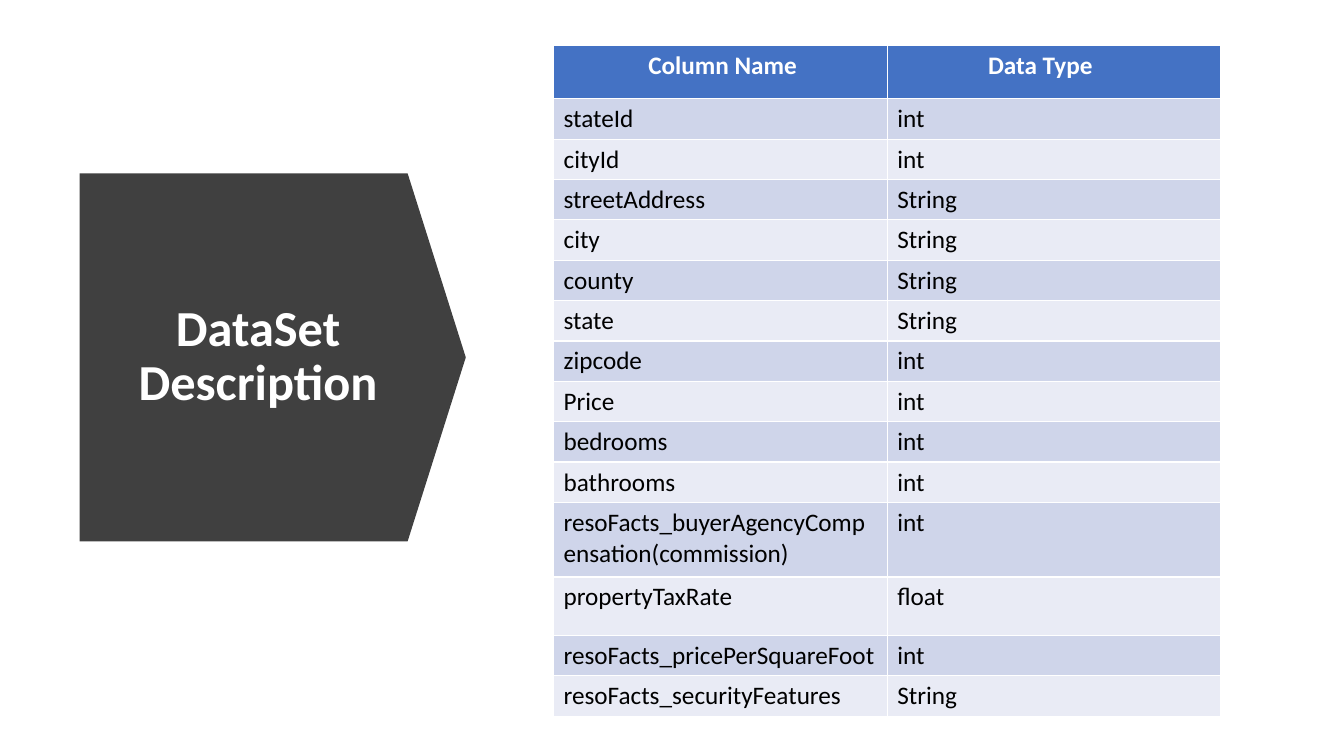
from dataclasses import dataclass

from pptx import Presentation
from pptx.dml.color import RGBColor
from pptx.enum.shapes import MSO_SHAPE
from pptx.enum.text import MSO_ANCHOR, PP_ALIGN
from pptx.util import Inches, Pt

DOWN_ARROW = MSO_SHAPE.DOWN_ARROW
MIDDLE = MSO_ANCHOR.MIDDLE
CENTER = PP_ALIGN.CENTER

FONT = "Calibri"
WHITE, BLACK, DARK = "FFFFFF", "000000", "404040"
HEADER_FILL = "4472C4"
BANDS = ("CFD5EA", "E9EBF5")
COLUMN_WIDTH = 3.31
CELL_INSET = 0.1


@dataclass(frozen=True)
class Heading:
    text: str
    inset: float


@dataclass(frozen=True)
class Field:
    name: str
    data_type: str
    height: float = 0.39


HEADER_HEIGHT = 0.53
HEADINGS = (Heading("Column Name", 0.94), Heading("Data Type", 1.0))
FIELDS = (
    Field("stateId", "int"),
    Field("cityId", "int"),
    Field("streetAddress", "String"),
    Field("city", "String"),
    Field("county", "String"),
    Field("state", "String"),
    Field("zipcode", "int"),
    Field("Price", "int"),
    Field("bedrooms", "int"),
    Field("bathrooms", "int"),
    Field("resoFacts_buyerAgencyCompensation(commission)", "int", 0.74),
    Field("propertyTaxRate", "float", 0.58),
    Field("resoFacts_pricePerSquareFoot", "int"),
    Field("resoFacts_securityFeatures", "String"),
)


def rgb(color: str) -> RGBColor:
    return RGBColor.from_string(color)


def write(p, text: str, size: int, color: str, bold: bool) -> None:
    p.text = text
    p.font.name = FONT
    p.font.size = Pt(size)
    p.font.bold = bold
    p.font.color.rgb = rgb(color)


def add_arrow(s) -> None:
    sp = s.shapes.add_shape(
        DOWN_ARROW, Inches(0.88), Inches(1.63), Inches(3.65), Inches(3.83)
    )
    sp.rotation = 270
    sp.adjustments[0] = 1.0
    sp.adjustments[1] = 0.158
    sp.shadow.inherit = False
    sp.fill.solid()
    sp.fill.fore_color.rgb = rgb(DARK)
    sp.line.fill.background()


def add_title(s) -> None:
    sp = s.shapes.add_textbox(
        Inches(1.12), Inches(2.15), Inches(2.88), Inches(2.79)
    )
    tf = sp.text_frame
    tf.word_wrap = True
    tf.vertical_anchor = MIDDLE
    p = tf.paragraphs[0]
    p.alignment = CENTER
    p.line_spacing = 0.9
    write(p, "DataSet Description", 36, WHITE, True)


def fill_cell(cell, text: str, fill: str, color: str, bold: bool, inset: float) -> None:
    cell.fill.solid()
    cell.fill.fore_color.rgb = rgb(fill)
    cell.margin_left = Inches(inset)
    write(cell.text_frame.paragraphs[0], text, 18, color, bold)


def add_fields_table(s) -> None:
    heights = [HEADER_HEIGHT] + [field.height for field in FIELDS]
    table = s.shapes.add_table(
        len(heights), len(HEADINGS), Inches(5.49), Inches(0.45),
        Inches(COLUMN_WIDTH * len(HEADINGS)), Inches(sum(heights)),
    ).table
    for column in table.columns:
        column.width = Inches(COLUMN_WIDTH)
    for row, height in zip(table.rows, heights):
        row.height = Inches(height)
    for j, heading in enumerate(HEADINGS):
        fill_cell(table.cell(0, j), heading.text, HEADER_FILL, WHITE, True, heading.inset)
    for i, field in enumerate(FIELDS):
        for j, text in enumerate((field.name, field.data_type)):
            fill_cell(table.cell(i + 1, j), text, BANDS[i % 2], BLACK, False, CELL_INSET)


def main() -> None:
    prs = Presentation()
    prs.slide_width = Inches(13.33)
    prs.slide_height = Inches(7.5)
    s = prs.slides.add_slide(prs.slide_layouts[6])
    add_arrow(s)
    add_title(s)
    add_fields_table(s)
    prs.save("out.pptx")


if __name__ == "__main__":
    main()
